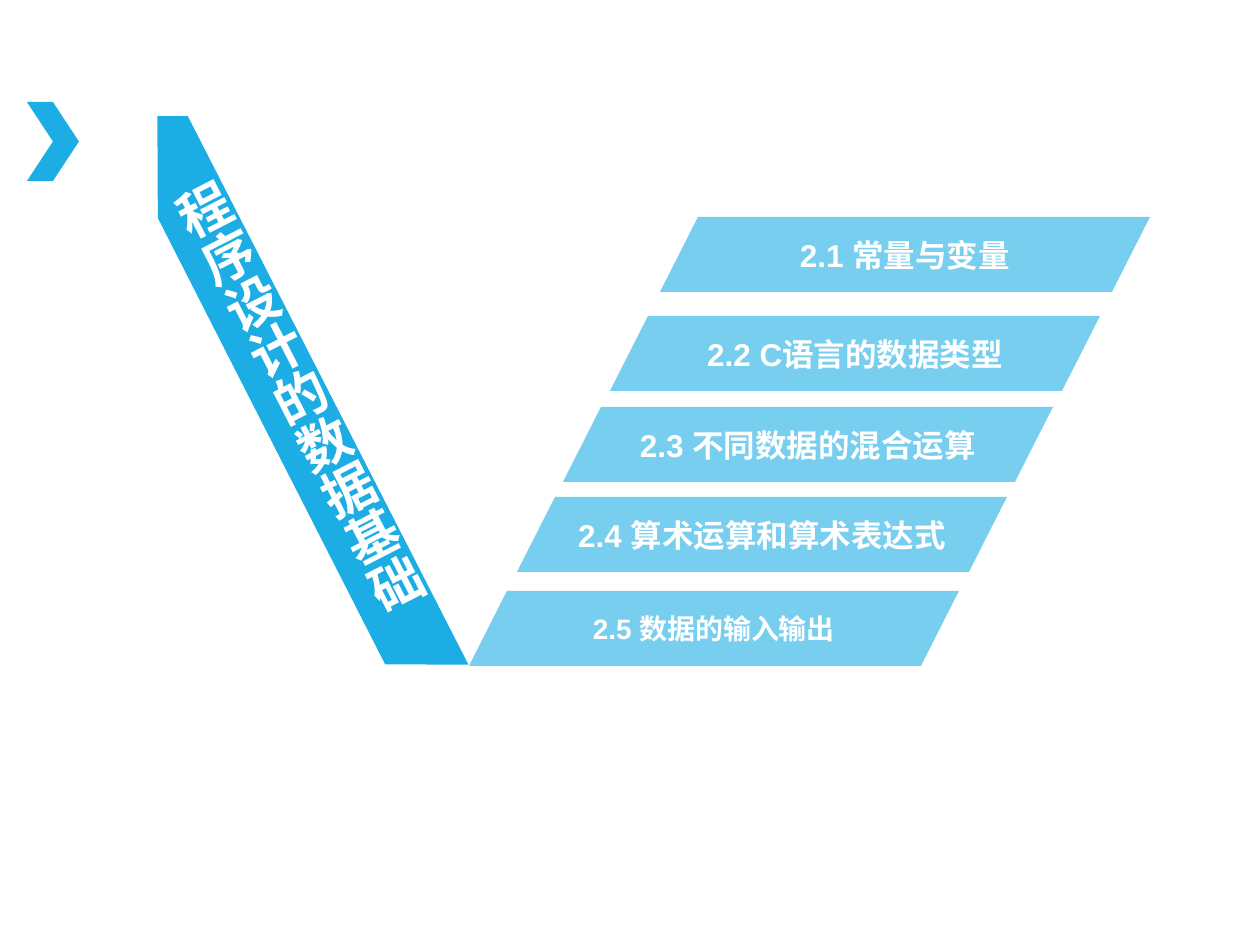
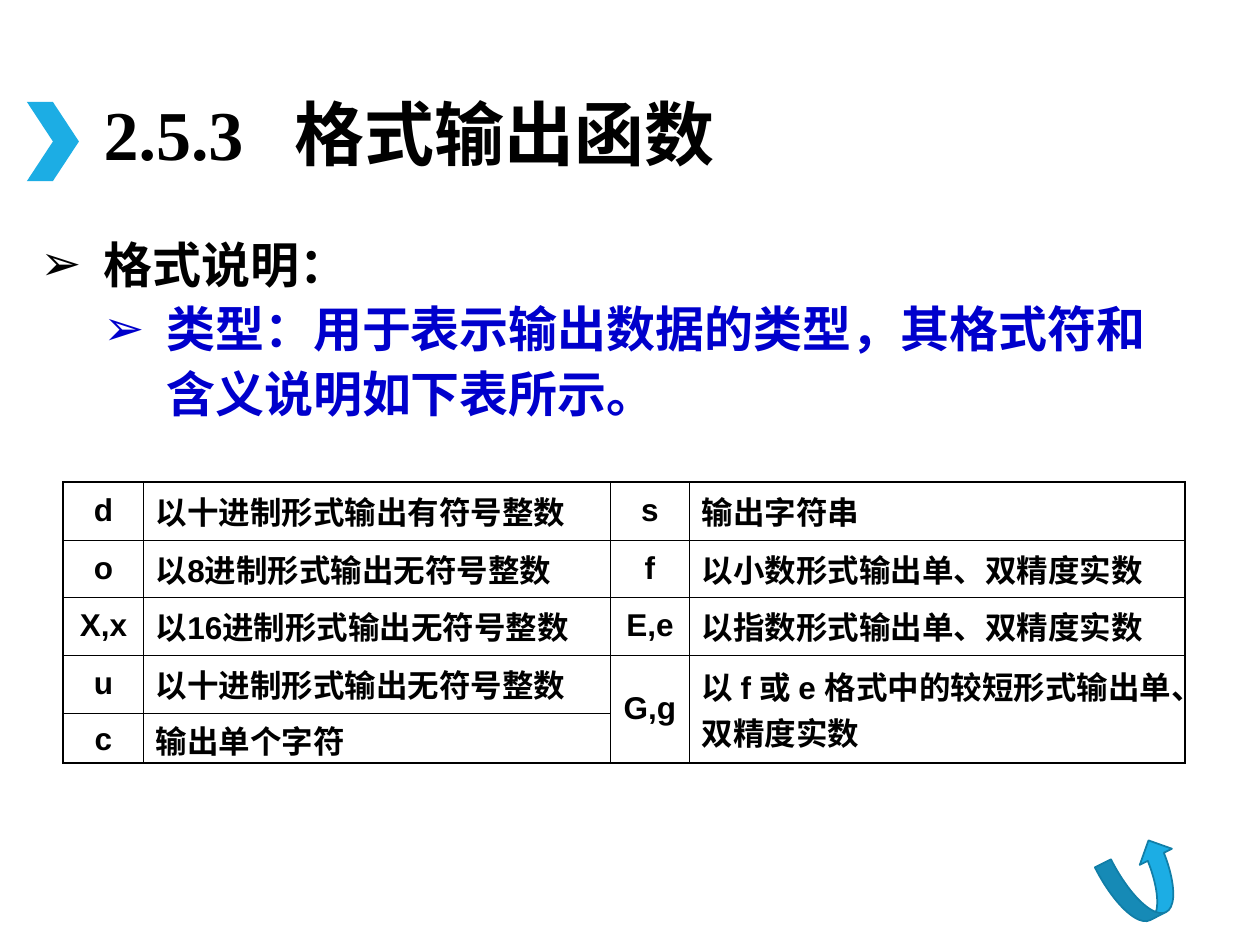
from lxml.etree import SubElement
from pptx import Presentation
from pptx.dml.color import RGBColor
from pptx.enum.shapes import MSO_SHAPE
from pptx.enum.text import MSO_ANCHOR, PP_ALIGN
from pptx.oxml.ns import qn
from pptx.util import Pt

HUES = {"sky": "1CADE4", "pale": "77CEEF", "edge": "117EA7",
        "ink": "000000", "navy": "0000CC", "white": "FFFFFF"}
SCALE = 914400 / 126
SANS, SERIF = "Arial", "Times New Roman"

TOPIC = "程序设计的数据基础"
PARTS = [
    ("2.1 常量与变量", 217, 18),
    ("2.2 C语言的数据类型", 316, 18),
    ("2.3 不同数据的混合运算", 407, 18),
    ("2.4 算术运算和算术表达式", 497, 18),
    ("2.5 数据的输入输出", 591, 16),
]
SPINE = [(302, 86), (329, 100), (329, 716), (255, 678), (256, 177)]

TITLE = "2.5.3\t格式输出函数"
NOTES = [
    ("格式说明：", "ink"),
    ("类型：用于表示输出数据的类型，其格式符和含义说明如下表所示。", "navy"),
]
CODES = [
    ("d", "以十进制形式输出有符号整数", "s", "输出字符串"),
    ("o", "以8进制形式输出无符号整数", "f", "以小数形式输出单、双精度实数"),
    ("X,x", "以16进制形式输出无符号整数", "E,e", "以指数形式输出单、双精度实数"),
    ("u", "以十进制形式输出无符号整数", "G,g", "以 f 或 e 格式中的较短形式输出单、双精度实数"),
    ("c", "输出单个字符", "", ""),
]
COLS = [80, 467, 79, 496]
ROWS = [58, 57, 58, 58, 50]


def px(*nums):
    """Turn px lengths into EMU."""
    return [round(num * SCALE) for num in nums]


def hue(name):
    """Return a named colour."""
    return RGBColor.from_string(HUES[name])


def style(para, size, face, tint, align=PP_ALIGN.LEFT):
    """Format the runs of one paragraph."""
    para.alignment = align
    for run in para.runs:
        font = run.font
        font.size, font.name, font.bold = Pt(size), face, True
        font.color.rgb = hue(tint)


def inset(part, *gaps):
    """Set left, top, right and bottom margins."""
    (part.margin_left, part.margin_top,
     part.margin_right, part.margin_bottom) = px(*gaps)


def paint(shape, tint, edge=None):
    """Give a shape a flat fill and an optional line."""
    shape.shadow.inherit = False
    shape.fill.solid()
    shape.fill.fore_color.rgb = hue(tint)
    if edge:
        shape.line.color.rgb = hue(edge)
        shape.line.width = Pt(1)
    else:
        shape.line.fill.background()


def preset(slide, kind, box, tint, edge=None):
    """Add a painted preset shape."""
    shape = slide.shapes.add_shape(kind, *px(*box))
    paint(shape, tint, edge)
    return shape


def panel(slide, dots, tint, text, size, gaps):
    """Add a filled outline with centred text."""
    pen = slide.shapes.build_freeform(*dots[0], scale=SCALE)
    pen.add_line_segments(dots[1:], close=True)
    shape = pen.convert_to_shape()
    paint(shape, tint)
    frame = shape.text_frame
    frame.text = text
    frame.word_wrap = True
    frame.vertical_anchor = MSO_ANCHOR.MIDDLE
    inset(frame, *gaps)
    style(frame.paragraphs[0], size, SANS, "white", PP_ALIGN.CENTER)
    return shape


def start(deck, layout):
    """Add a slide with the shared chevron."""
    slide = deck.slides.add_slide(deck.slide_layouts[layout])
    preset(slide, MSO_SHAPE.CHEVRON, (27, 102, 52, 79), "sky")
    return slide


def outline(deck):
    """Build the chapter outline slide."""
    slide = start(deck, 6)
    wide, high, slant = 490, 75, 38
    for text, top, size in reversed(PARTS):
        left = round(660 - (top - PARTS[0][1]) * 0.51)
        dots = [(left + slant, top), (left + wide, top),
                (left + wide - slant, top + high), (left, top + high)]
        panel(slide, dots, "pale", text, size, (23, 5, 23, 5))
    spine = panel(slide, SPINE, "sky", TOPIC, 30, (26, 79, 11, 68))
    spine.rotation = 332.9
    spine.text_frame._txBody.bodyPr.set("vert", "eaVert")


def head(slide):
    """Place and format the title."""
    title = slide.shapes.title
    title.left, title.top, title.width, title.height = px(91, 77, 1191, 122)
    frame = title.text_frame
    frame.text = TITLE
    frame.vertical_anchor = MSO_ANCHOR.MIDDLE
    para = frame.paragraphs[0]
    tabs = SubElement(para._p.get_or_add_pPr(), qn("a:tabLst"))
    SubElement(tabs, qn("a:tab"), pos=str(px(191)[0]), algn="l")
    para.line_spacing = 0.9
    style(para, 40, SERIF, "ink")


def notes(slide):
    """Add the bulleted notes."""
    frame = slide.shapes.add_textbox(*px(28, 222, 1155, 207)).text_frame
    frame.word_wrap = True
    frame.text = "\n".join(text for text, _ in NOTES)
    step = px(63)[0]
    for level, (para, (_, tint)) in enumerate(zip(frame.paragraphs, NOTES)):
        para.level = level
        props = para._p.get_or_add_pPr()
        props.set("marL", str(step * (level + 1)))
        props.set("indent", str(-step))
        shade = SubElement(props, qn("a:buClr"))
        SubElement(shade, qn("a:srgbClr"), val=HUES[tint])
        SubElement(props, qn("a:buFont"), typeface=SANS)
        SubElement(props, qn("a:buChar"), char="➢")
        para.line_spacing = 1.1
        style(para, 28, SERIF, tint)


def border(cell, row, col):
    """Draw thin inner and thick outer cell borders."""
    outer = {"L": col == 0, "R": col == len(COLS) - 1,
             "T": row == 0, "B": row + cell.span_height >= len(ROWS)}
    props = cell._tc.get_or_add_tcPr()
    for side, thick in outer.items():
        width = Pt(1.08 if thick else 0.45)
        line = SubElement(props, qn("a:ln" + side), w=str(width))
        fill = SubElement(line, qn("a:solidFill"))
        SubElement(fill, qn("a:srgbClr"), val=HUES["ink"])


def grid(slide):
    """Add the table of format codes."""
    size = px(63, 482, sum(COLS), sum(ROWS))
    table = slide.shapes.add_table(len(ROWS), len(COLS), *size).table
    table.first_row = table.horz_banding = False
    for col, wide in zip(table.columns, px(*COLS)):
        col.width = wide
    for row, high in zip(table.rows, px(*ROWS)):
        row.height = high
    for col in (2, 3):
        table.cell(3, col).merge(table.cell(4, col))
    for row, texts in enumerate(CODES):
        for col, text in enumerate(texts):
            cell = table.cell(row, col)
            border(cell, row, col)
            cell.fill.background()
            cell.vertical_anchor = MSO_ANCHOR.MIDDLE
            last = row == len(ROWS) - 1
            inset(cell, 13, 4 if last else 6, 12, 0 if last else 6)
            if text:
                cell.text = text
                align = PP_ALIGN.LEFT if col % 2 else PP_ALIGN.CENTER
                style(cell.text_frame.paragraphs[0], 18, SANS, "ink", align)


def output(deck):
    """Build the formatted output slide."""
    slide = start(deck, 5)
    head(slide)
    notes(slide)
    grid(slide)
    arrow = preset(slide, MSO_SHAPE.CURVED_UP_ARROW,
                   (1107, 846, 78, 72), "sky", "edge")
    arrow.rotation = 333.3


def main():
    """Build and save the deck."""
    deck = Presentation()
    deck.slide_width, deck.slide_height = px(1260, 945)
    outline(deck)
    output(deck)
    deck.save("out.pptx")


if __name__ == "__main__":
    main()
